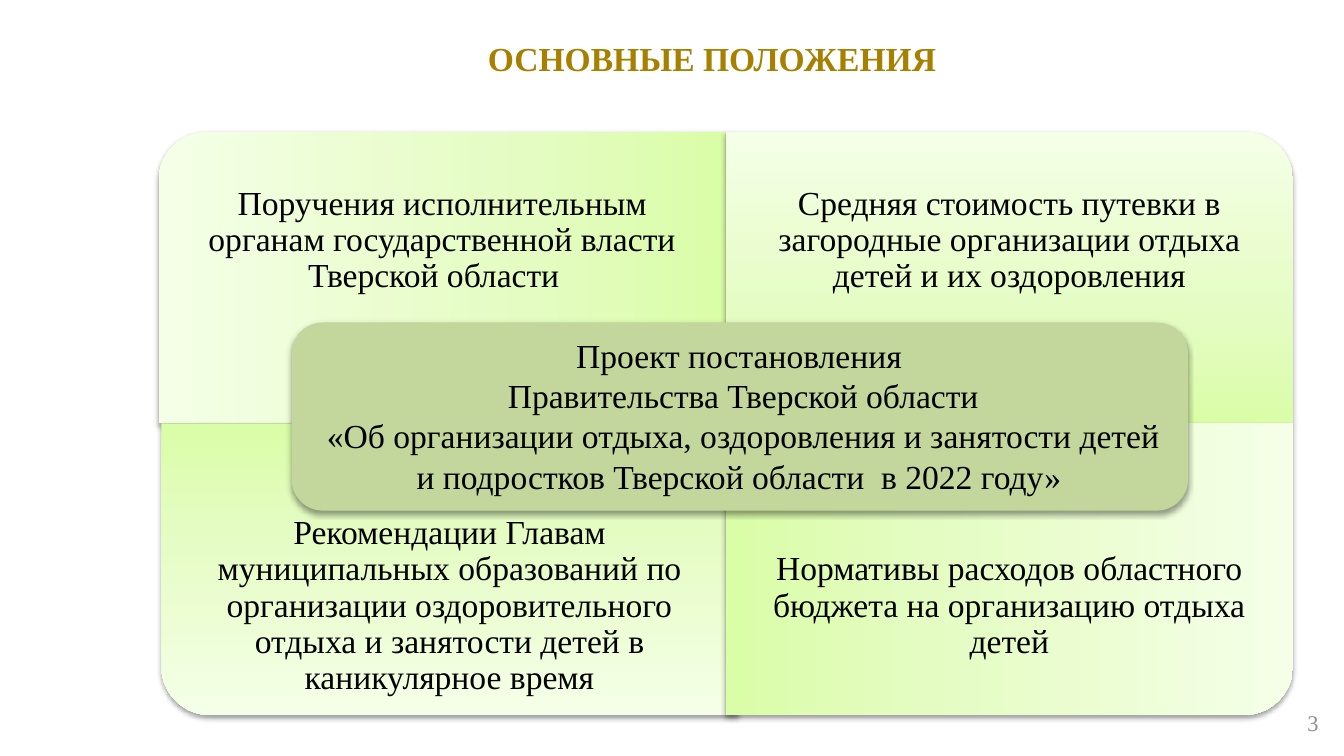
from dataclasses import dataclass

from lxml import etree
from pptx import Presentation
from pptx.dml import color
from pptx.enum import shapes, text
from pptx.oxml import ns
from pptx.util import Inches, Pt


@dataclass(frozen=True)
class Theme:
    """Colours, font and type sizes of the slide."""
    font: str = "Times New Roman"
    heading: str = "A88000"
    body: str = "000000"
    number: str = "8C8C8C"
    center: str = "C3D69B"
    gradient: tuple = ((0, "DAFDA7"), (35, "E4FCC2"), (100, "F5FFE7"))
    body_size: int = 18
    number_size: int = 12


THEME = Theme()
GRID_TOP, CELL_HEIGHT, LABEL_HEIGHT = 0.98, 2.17, 1.62
QUADRANTS = (
    (0, 1.18, 4.22, 270, ("Поручения исполнительным органам государственной власти",
                          "Тверской области  ")),
    (0, 5.4, 4.22, 0, ("Средняя стоимость путевки в загородные организации отдыха "
                       "детей и их оздоровления",)),
    (1, 1.2, 4.29, 180, ("Рекомендации Главам муниципальных образований по организации "
                         "оздоровительного отдыха и занятости детей в каникулярное время",)),
    (1, 5.4, 4.22, 90, ("Нормативы расходов областного бюджета на организацию отдыха детей",)),
)
PROJECT = (
    "Проект постановления",
    " Правительства Тверской области",
    " «Об организации отдыха, оздоровления и занятости детей "
    "и подростков Тверской области  в 2022 году»",
)


def add_child(parent, tag, **attributes):
    """Append a DrawingML element and return it."""
    return etree.SubElement(parent, ns.qn(tag), {k: str(v) for k, v in attributes.items()})


def add_shadow(panel):
    """Give a panel a soft shadow straight below it."""
    panel.shadow.inherit = False
    effects = panel._element.spPr.find(ns.qn("a:effectLst"))
    shadow = add_child(effects, "a:outerShdw", blurRad=Pt(3.1), dist=Pt(1.6),
                       dir=5400000, rotWithShape=0)
    tint = add_child(shadow, "a:srgbClr", val=THEME.body)
    add_child(tint, "a:alpha", val=38000)


def fill_gradient(panel):
    """Fill a panel with the green gradient, rising from its bottom edge."""
    panel.fill.gradient()
    gradient = panel._element.spPr.find(ns.qn("a:gradFill"))
    for part in list(gradient):
        gradient.remove(part)
    gradient.set("rotWithShape", "1")
    stops = add_child(gradient, "a:gsLst")
    for position, rgb in THEME.gradient:
        add_child(add_child(stops, "a:gs", pos=position * 1000), "a:srgbClr", val=rgb)
    add_child(gradient, "a:lin", ang=16200000, scaled=0)


def add_panel(slide, preset, left, top, width, height, rotation=0):
    """Add a shadowed panel that covers the given area after rotation."""
    center_x, center_y = left + width / 2, top + height / 2
    if rotation % 180:
        width, height = height, width
    panel = slide.shapes.add_shape(preset, Inches(center_x - width / 2),
                                   Inches(center_y - height / 2),
                                   Inches(width), Inches(height))
    panel.rotation = rotation
    panel.line.fill.background()
    add_shadow(panel)
    return panel


def write(frame, lines, inset, rgb=THEME.body, size=THEME.body_size, bold=False,
          align=text.PP_ALIGN.CENTER, anchor=text.MSO_ANCHOR.MIDDLE, spacing=1.0):
    """Write formatted paragraphs into a text frame."""
    frame.word_wrap = True
    frame.auto_size = text.MSO_AUTO_SIZE.NONE
    frame.vertical_anchor = anchor
    frame.margin_left = frame.margin_right = Inches(inset[0])
    frame.margin_top = frame.margin_bottom = Inches(inset[1])
    frame.text = "\n".join(lines)
    for paragraph in frame.paragraphs:
        paragraph.alignment = align
        paragraph.line_spacing = spacing
        paragraph.font.name = THEME.font
        paragraph.font.size = Pt(size)
        paragraph.font.bold = bold
        paragraph.font.color.rgb = color.RGBColor.from_string(rgb)


def add_label(slide, area, lines, inset, **style):
    """Add a text box over the given area."""
    box = slide.shapes.add_textbox(*map(Inches, area))
    write(box.text_frame, lines, inset, **style)


def add_heading(slide):
    """Place and format the slide title."""
    heading = slide.shapes.title
    heading.left, heading.top, heading.width, heading.height = map(
        Inches, (1.08, 0.24, 8.5, 0.56))
    write(heading.text_frame, ("ОСНОВНЫЕ ПОЛОЖЕНИЯ ",), (0.07, 0.04),
          rgb=THEME.heading, bold=True, anchor=text.MSO_ANCHOR.TOP)


def add_quadrant(slide, row, left, width, rotation, lines):
    """Add one quadrant with its text kept away from the centre."""
    top = GRID_TOP + row * CELL_HEIGHT
    panel = add_panel(slide, shapes.MSO_SHAPE.ROUND_1_RECTANGLE,
                      left, top, width, CELL_HEIGHT, rotation)
    fill_gradient(panel)
    label_top = top + row * (CELL_HEIGHT - LABEL_HEIGHT)
    add_label(slide, (left, label_top, width, LABEL_HEIGHT), lines,
              (0.14, 0.14), spacing=0.9)


def add_project(slide):
    """Add the central panel that names the draft decree."""
    panel = add_panel(slide, shapes.MSO_SHAPE.ROUNDED_RECTANGLE, 2.17, 2.4, 6.67, 1.4)
    panel.fill.solid()
    panel.fill.fore_color.rgb = color.RGBColor.from_string(THEME.center)
    add_label(slide, (2.23, 2.46, 6.54, 1.26), PROJECT, (0.07, 0.07))


def main():
    """Build and save the slide."""
    deck = Presentation()
    deck.slide_width = Inches(10)
    deck.slide_height = deck.slide_width * 9 // 16
    slide = deck.slides.add_slide(deck.slide_layouts[5])
    add_heading(slide)
    for quadrant in QUADRANTS:
        add_quadrant(slide, *quadrant)
    add_project(slide)
    add_label(slide, (7.58, 5.23, 2.33, 0.3), ("3",), (0.1, 0.05), rgb=THEME.number,
              size=THEME.number_size, align=text.PP_ALIGN.RIGHT)
    deck.save("out.pptx")


if __name__ == "__main__":
    main()
